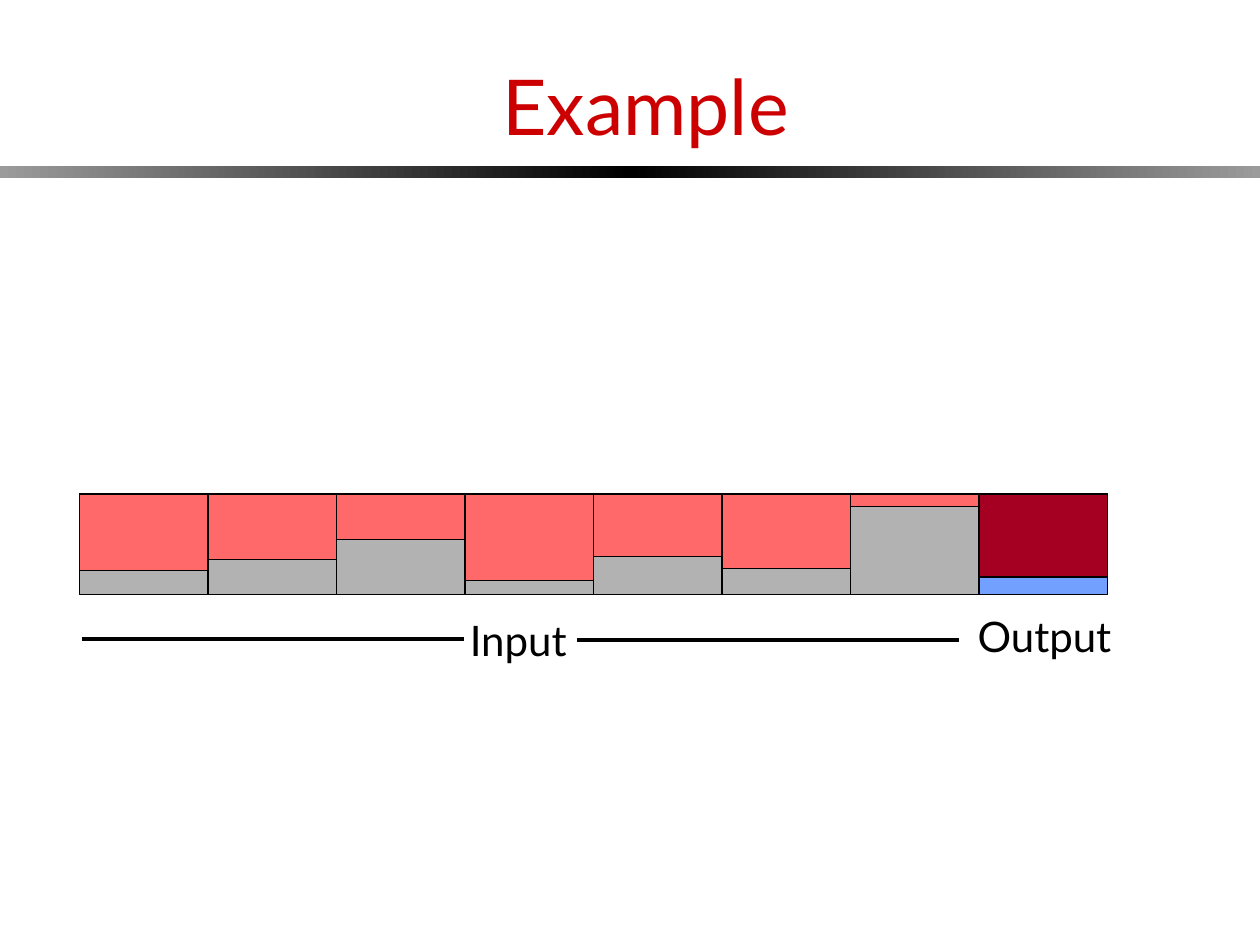
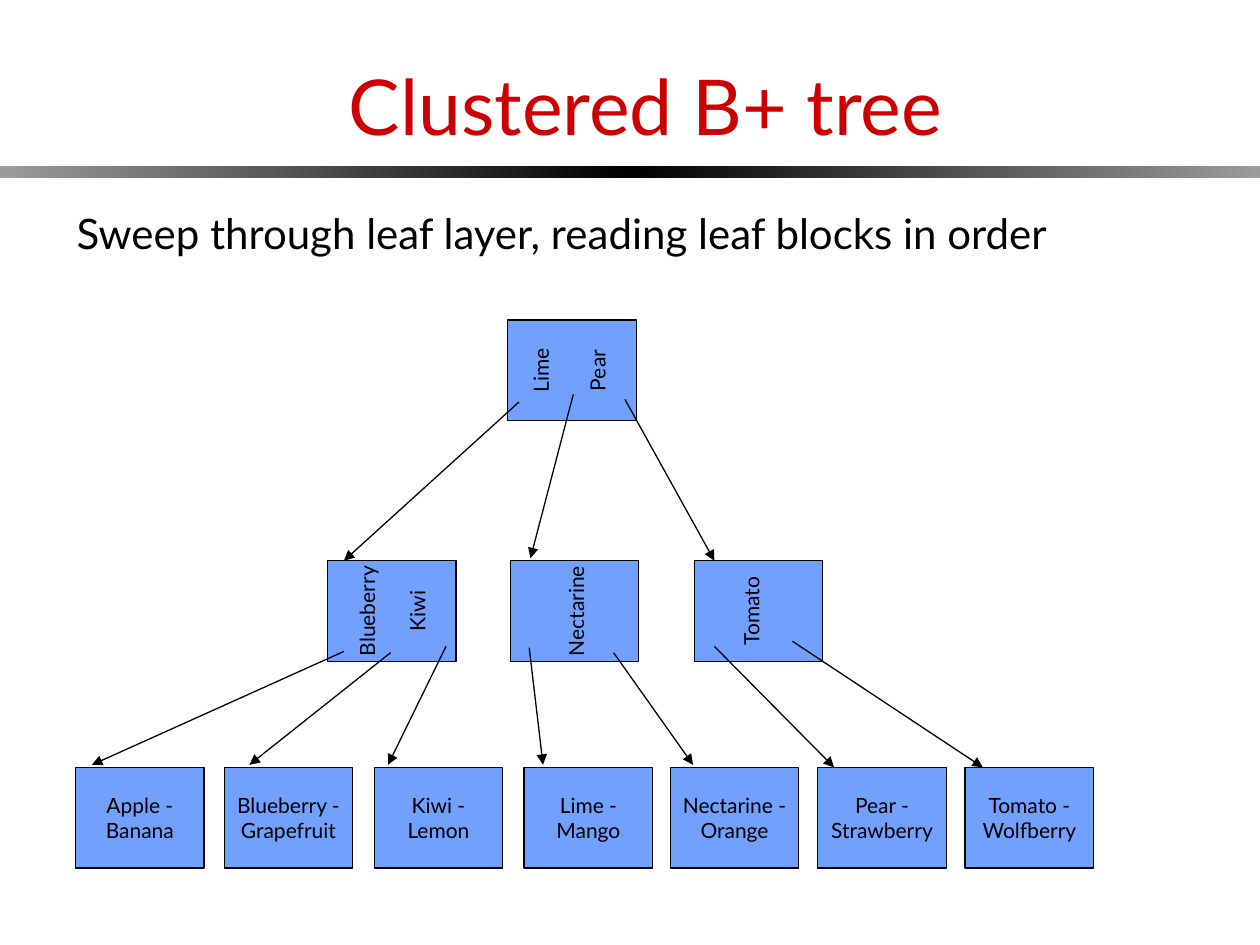
import dataclasses
import typing

import pptx
import pptx.dml.color
import pptx.enum.shapes
import pptx.enum.text
import pptx.oxml
import pptx.oxml.ns
import pptx.util

RGB = pptx.dml.color.RGBColor
Pt = pptx.util.Pt
Align = pptx.enum.text.PP_ALIGN
Anchor = pptx.enum.text.MSO_ANCHOR

BLACK = RGB(0x00, 0x00, 0x00)
BAND_EDGE = RGB(0x9B, 0x9B, 0x9B)
TITLE_RED = RGB(0xCC, 0x00, 0x00)
UNREAD_GREY = RGB(0xB2, 0xB2, 0xB2)
READ_RED = RGB(0xFF, 0x69, 0x69)
WRITTEN_RED = RGB(0xA5, 0x00, 0x21)
BLOCK_BLUE = RGB(0x71, 0xA0, 0xFF)

# The slide is a grid of 100 columns by 75 rows.
SLIDE_WIDTH, SLIDE_HEIGHT = pptx.util.Inches(10), pptx.util.Inches(7.5)
COLUMN, ROW = SLIDE_WIDTH / 100, SLIDE_HEIGHT / 75
BLOCK_COLUMNS, BLOCK_ROWS = 10.2, 8
KEY_MARGIN = round(COLUMN * 0.8)

TITLE_FONT = {"name": "Lato", "size": Pt(44)}
LABEL_FONT = {"name": "Lato", "size": Pt(24)}
KEY_FONT = {"name": "Lato", "size": Pt(12)}

TITLE_FRAME = {"word_wrap": True, "vertical_anchor": Anchor.BOTTOM}
LABEL_FRAME = {"word_wrap": False, "vertical_anchor": Anchor.TOP,
               "auto_size": pptx.enum.text.MSO_AUTO_SIZE.SHAPE_TO_FIT_TEXT}
KEY_FRAME = {"word_wrap": True, "vertical_anchor": Anchor.MIDDLE,
             "margin_left": KEY_MARGIN, "margin_right": KEY_MARGIN}


@dataclasses.dataclass(frozen=True)
class Area:
    left: float
    top: float
    columns: float = BLOCK_COLUMNS
    rows: float = BLOCK_ROWS

    def lengths(self) -> tuple[int, ...]:
        return (round(self.left * COLUMN), round(self.top * ROW),
                round(self.columns * COLUMN), round(self.rows * ROW))


@dataclasses.dataclass(frozen=True)
class Label:
    text: str
    area: Area


@dataclasses.dataclass(frozen=True)
class Key:
    text: str
    offset: float


@dataclasses.dataclass(frozen=True)
class Line:
    start: tuple[float, float]
    end: tuple[float, float]


@dataclasses.dataclass(frozen=True)
class Node:
    left: float
    top: float
    keys: tuple[Key, ...]
    pointers: tuple[Line, ...]


BAND_TOP, BAND_ROWS = 13.2, 0.9
TITLE_AREA = Area(5.5, 0, 91.5, 12.5)

STRIP_LEFT, STRIP_TOP = 6.3, 39.2
INPUT_READ_ROWS = (6.1, 5.2, 3.6, 6.9, 5, 5.9, 1)
OUTPUT_WRITTEN_ROWS = 6.6
STRIP_LABELS = (
    Label("Input", Area(36.3, 48.3, 10.5, 5)),
    Label("Output", Area(76.6, 48, 13.2, 5)),
)
INPUT_RULES = (
    Line((36.8, 50.7), (6.5, 50.7)),
    Line((76.1, 50.8), (45.8, 50.8)),
)

SWEEP = Label("Sweep through leaf layer, reading leaf blocks in order",
              Area(5.1, 16, 85.8, 5))
LEAF_TOP = 60.9
LEAVES = {
    "Apple - Banana": 6,
    "Blueberry - Grapefruit": 17.8,
    "Kiwi - Lemon": 29.7,
    "Lime - Mango": 41.6,
    "Nectarine - Orange": 53.2,
    "Pear - Strawberry": 64.9,
    "Tomato - Wolfberry": 76.6,
}
NODES = (
    Node(26, 44.5, (Key("Blueberry", 3.1), Key("Kiwi", 7.1)), (
        Line((27.3, 51.7), (7.3, 60.7)),
        Line((31, 51.8), (19.8, 60.7)),
        Line((35.4, 51.3), (30.8, 60.7)),
    )),
    Node(40.5, 44.5, (Key("Nectarine", 5.2),), (
        Line((42, 51.4), (43.1, 60.7)),
        Line((48.7, 51.8), (55, 60.7)),
    )),
    Node(55.1, 44.5, (Key("Tomato", 4.5),), (
        Line((56.7, 51.3), (66.2, 60.9)),
        Line((62.9, 50.9), (78, 60.9)),
    )),
    Node(40.3, 25.4, (Key("Lime", 2.6), Key("Pear", 7.1)), (
        Line((41.2, 31.9), (27.3, 44.5)),
        Line((45.5, 31.3), (42.1, 44.3)),
        Line((49.6, 31.7), (56.7, 44.5)),
    )),
)


def set_formats(target: typing.Any, formats: dict[str, typing.Any]) -> None:
    for attribute, value in formats.items():
        setattr(target, attribute, value)


def write(shape, text: str, font: dict, frame: dict,
          colour: RGB = BLACK, align: Align = Align.CENTER) -> None:
    set_formats(shape.text_frame, frame)
    paragraph = shape.text_frame.paragraphs[0]
    paragraph.alignment = align
    run = paragraph.add_run()
    run.text = text
    set_formats(run.font, font)
    run.font.color.rgb = colour


def add_box(slide, area: Area):
    box = slide.shapes.add_shape(
        pptx.enum.shapes.MSO_SHAPE.RECTANGLE, *area.lengths())
    box.shadow.inherit = False
    return box


def add_block(slide, area: Area, fill: RGB):
    block = add_box(slide, area)
    block.fill.solid()
    block.fill.fore_color.rgb = fill
    block.line.color.rgb = BLACK
    block.line.width = Pt(0.75)
    return block


def add_label(slide, label: Label) -> None:
    caption = slide.shapes.add_textbox(*label.area.lengths())
    write(caption, label.text, LABEL_FONT, LABEL_FRAME, align=Align.LEFT)


def add_line(slide, line: Line, width: float, arrow: bool = False) -> None:
    ends = [round(length) for column, row in (line.start, line.end)
            for length in (column * COLUMN, row * ROW)]
    connector = slide.shapes.add_connector(
        pptx.enum.shapes.MSO_CONNECTOR.STRAIGHT, *ends)
    connector.line.color.rgb = BLACK
    connector.line.width = Pt(width)
    qn, make = pptx.oxml.ns.qn, pptx.oxml.parse_xml
    namespace = pptx.oxml.ns.nsdecls("a")
    properties = connector._element.spPr
    if arrow:
        properties.find(qn("a:ln")).append(
            make(f'<a:tailEnd {namespace} type="triangle"/>'))
    properties.append(make(f"<a:effectLst {namespace}/>"))


def add_titled_slide(deck, title: str):
    """Add a blank slide with the shared title and shaded band."""
    slide = deck.slides.add_slide(deck.slide_layouts[6])
    for left, shades in ((0, (BAND_EDGE, BLACK)), (50, (BLACK, BAND_EDGE))):
        band = add_box(slide, Area(left, BAND_TOP, 50, BAND_ROWS))
        band.line.fill.background()
        band.fill.gradient()
        band.fill.gradient_angle = 0
        for stop, shade in zip(band.fill.gradient_stops, shades):
            stop.color.rgb = shade
    heading = slide.shapes.add_textbox(*TITLE_AREA.lengths())
    write(heading, title, TITLE_FONT, TITLE_FRAME, TITLE_RED)
    return slide


def build_example(deck) -> None:
    slide = add_titled_slide(deck, "Example")
    strip = [(rows, UNREAD_GREY, READ_RED) for rows in INPUT_READ_ROWS]
    strip.append((OUTPUT_WRITTEN_ROWS, BLOCK_BLUE, WRITTEN_RED))
    for index, (rows, base, progress) in enumerate(strip):
        left = STRIP_LEFT + index * BLOCK_COLUMNS
        add_block(slide, Area(left, STRIP_TOP), base)
        add_block(slide, Area(left, STRIP_TOP, rows=rows), progress)
    for label in STRIP_LABELS:
        add_label(slide, label)
    for rule in INPUT_RULES:
        add_line(slide, rule, 2.25)


def add_node(slide, node: Node) -> None:
    add_block(slide, Area(node.left, node.top), BLOCK_BLUE)
    for key in node.keys:
        area = Area(node.left + key.offset - BLOCK_COLUMNS / 2,
                    node.top + BLOCK_ROWS / 2 - 1.5, rows=3)
        caption = slide.shapes.add_textbox(*area.lengths())
        caption.rotation = 270
        write(caption, key.text, KEY_FONT, KEY_FRAME)


def build_tree(deck) -> None:
    slide = add_titled_slide(deck, "Clustered B+ tree")
    add_label(slide, SWEEP)
    for key_range, left in LEAVES.items():
        leaf = add_block(slide, Area(left, LEAF_TOP), BLOCK_BLUE)
        write(leaf, key_range, KEY_FONT, KEY_FRAME)
    for node in NODES:
        add_node(slide, node)
    for node in NODES:
        for pointer in node.pointers:
            add_line(slide, pointer, 0.75, arrow=True)


def main() -> None:
    deck = pptx.Presentation()
    deck.slide_width, deck.slide_height = SLIDE_WIDTH, SLIDE_HEIGHT
    build_example(deck)
    build_tree(deck)
    deck.save("out.pptx")


if __name__ == "__main__":
    main()
